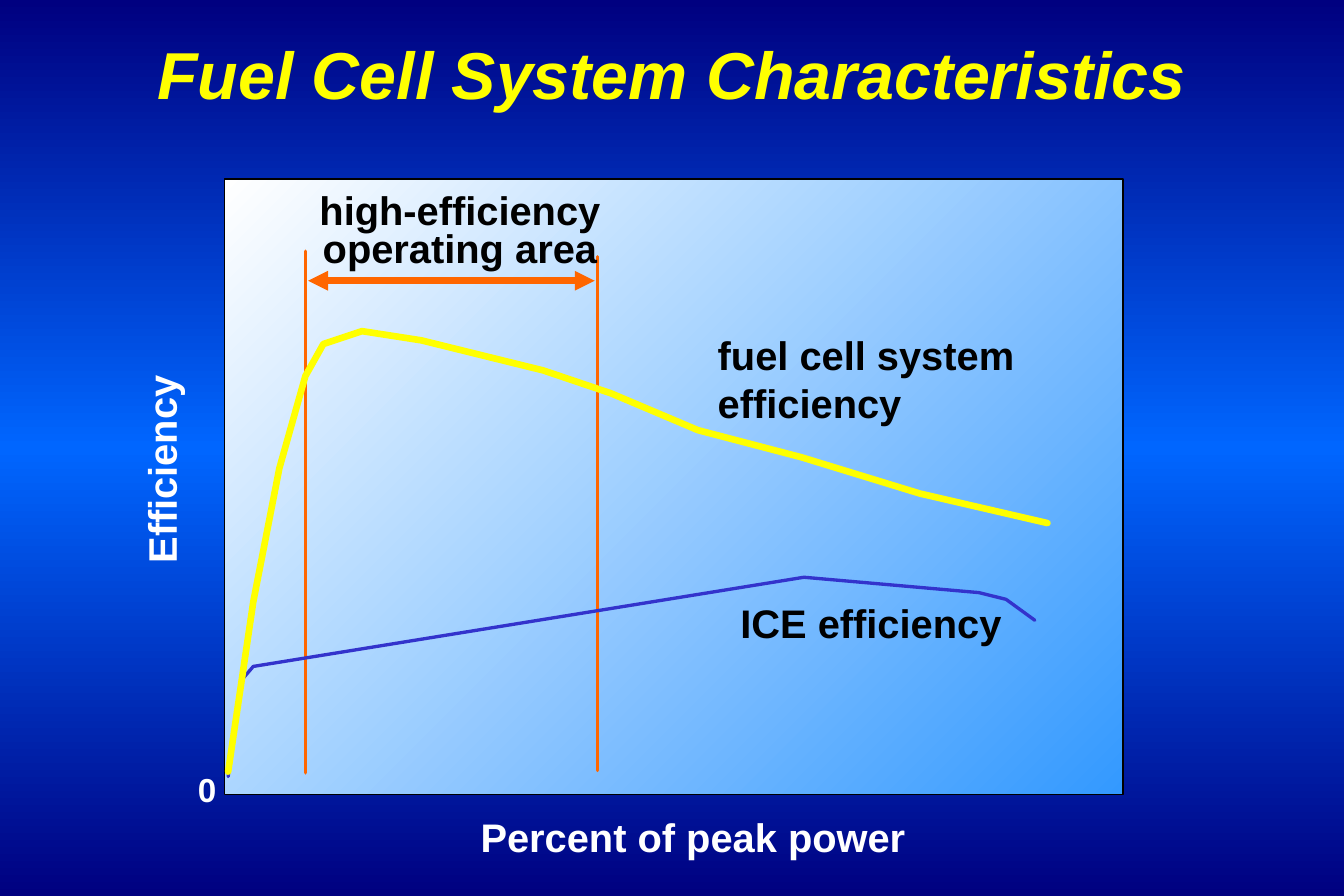
import copy

import pptx
import pptx.dml.color
import pptx.enum.shapes
import pptx.enum.text
import pptx.oxml.ns
import pptx.util
from lxml import etree

WIDTH, HEIGHT = pptx.util.Inches(11.25), pptx.util.Inches(7.5)
FONT = "Arial"
YELLOW, WHITE, BLACK, ORANGE, INDIGO = "FFFF00", "FFFFFF", "000000", "FF6600", "3333CC"
BACKGROUND = ["000080", "0066FF", "000080"]
PLOT_FILL = ["3399FF", "FFFFFF"]

# Left, top, width and height in percent of the slide
PLOT = (16.71, 20, 66.84, 68.67)
LABELS = [
    dict(text="Fuel Cell System Characteristics", place=(7.29, 4.4, 85.33, 8.93),
         size=40, color=YELLOW, spacing=0.85, italic=True),
    dict(text="0", place=(13.51, 85.2, 3.82, 5.73), size=20, color=WHITE, shadow=BLACK),
    dict(text="high-efficiency operating area", place=(20.98, 21.07, 26.49, 9.87),
         color=BLACK, spacing=0.8, shadow=WHITE),
    dict(text="Efficiency", place=(-6.93, 49.6, 38.49, 5.6), color=WHITE,
         spacing=0.8, rotation=270),
    dict(text="Percent of peak power", place=(23.38, 90, 56.36, 6.67), color=WHITE),
    dict(text="fuel cell system efficiency", place=(52.53, 36.27, 30.84, 12),
         color=BLACK, centered=False),
    dict(text="ICE efficiency", place=(54.22, 66.13, 23.11, 6.67),
         color=BLACK, centered=False),
]

# Points in percent of the plot, measured from its lower left corner
RANGE_LINES = [
    dict(ends=[(9.3, 83.5), (41.2, 83.5)], weight=4, arrows=True),
    dict(ends=[(9, 88.3), (9, 3.5)], weight=2, arrows=False),
    dict(ends=[(41.5, 87.4), (41.5, 3.9)], weight=2, arrows=False),
]
ICE_CURVE = [(0.4, 2.9), (1.9, 18.6), (3.2, 20.8), (64.5, 35.3), (84, 32.8),
             (87, 31.7), (90.2, 28.3)]
FUEL_CELL_CURVE = [(0.4, 3.7), (3.2, 31.3), (6.1, 53), (9, 68), (11, 73.2),
                   (15.3, 75.3), (21.9, 73.8), (35.5, 68.9), (43, 65.2),
                   (52.7, 59.2), (64.2, 54.8), (77.4, 48.9), (91.6, 44.1)]
CURVES = [(ICE_CURVE, INDIGO, 2), (FUEL_CELL_CURVE, YELLOW, 4)]


def rgb(value):
    return pptx.dml.color.RGBColor.from_string(value)


def add_element(parent, tag, **attributes):
    return etree.SubElement(parent, pptx.oxml.ns.qn(tag), attributes)


def on_slide(place):
    left, top, width, height = place
    return [round(share * full / 100) for share, full in
            ((left, WIDTH), (top, HEIGHT), (width, WIDTH), (height, HEIGHT))]


def on_plot(point):
    """Turn a point of the plot into a slide position."""
    left, top, width, height = on_slide(PLOT)
    across, up = point
    return round(left + width * across / 100), round(top + height * (1 - up / 100))


def paint_gradient(fill, owner, colors, angle):
    """Spread the colours evenly; the angle runs counter-clockwise."""
    fill.gradient()
    fill.gradient_angle = angle
    stop_list = owner.element.xpath(".//a:gsLst")[0]
    while len(stop_list) < len(colors):
        stop_list.append(copy.deepcopy(stop_list[0]))
    for index, (stop, color) in enumerate(zip(fill.gradient_stops, colors)):
        stop.color.rgb = rgb(color)
        stop.position = index / (len(colors) - 1)


def style_line(shape, color, weight, arrows=False):
    shape.line.color.rgb = rgb(color)
    shape.line.width = pptx.util.Pt(weight)
    outline = shape.element.spPr.find(pptx.oxml.ns.qn("a:ln"))
    outline.set("cap", "rnd")
    add_element(outline, "a:round")
    if arrows:
        for end in ("a:headEnd", "a:tailEnd"):
            add_element(outline, end, type="triangle")


def add_plot(page):
    plot = page.shapes.add_shape(pptx.enum.shapes.MSO_SHAPE.RECTANGLE, *on_slide(PLOT))
    plot.shadow.inherit = False
    paint_gradient(plot.fill, plot, PLOT_FILL, 135)
    plot.line.color.rgb = rgb(BLACK)
    plot.line.width = pptx.util.Pt(1)


def add_range_line(page, ends, weight, arrows):
    start, end = map(on_plot, ends)
    line = page.shapes.add_connector(pptx.enum.shapes.MSO_CONNECTOR.STRAIGHT, *start, *end)
    style_line(line, ORANGE, weight, arrows)
    add_element(line.element.spPr, "a:effectLst")


def add_curve(page, points, color, weight):
    start, *others = map(on_plot, points)
    builder = page.shapes.build_freeform(*start)
    builder.add_line_segments(others, close=False)
    curve = builder.convert_to_shape()
    curve.shadow.inherit = False
    curve.fill.background()
    style_line(curve, color, weight)


def add_label(page, text, place, color, size=24, spacing=1.0, italic=False,
              centered=True, rotation=0, shadow=None):
    box = page.shapes.add_textbox(*on_slide(place))
    box.rotation = rotation
    box.text_frame.word_wrap = True
    para = box.text_frame.paragraphs[0]
    align = pptx.enum.text.PP_ALIGN
    para.alignment = align.CENTER if centered else align.LEFT
    para.line_spacing = spacing
    span = para.add_run()
    span.text = text
    font = para.font
    font.name, font.size = FONT, pptx.util.Pt(size)
    font.bold, font.italic = True, italic
    font.color.rgb = rgb(color)
    if shadow:
        effects = add_element(span.font._element, "a:effectLst")
        cast = add_element(effects, "a:outerShdw", dist="25400", dir="2700000")
        add_element(cast, "a:srgbClr", val=shadow)


def main():
    deck = pptx.Presentation()
    deck.slide_width, deck.slide_height = WIDTH, HEIGHT
    page = deck.slides.add_slide(deck.slide_layouts[6])
    paint_gradient(page.background.fill, page, BACKGROUND, 270)
    add_plot(page)
    for line in RANGE_LINES:
        add_range_line(page, **line)
    for curve in CURVES:
        add_curve(page, *curve)
    for label in LABELS:
        add_label(page, **label)
    deck.save("out.pptx")


if __name__ == "__main__":
    main()
